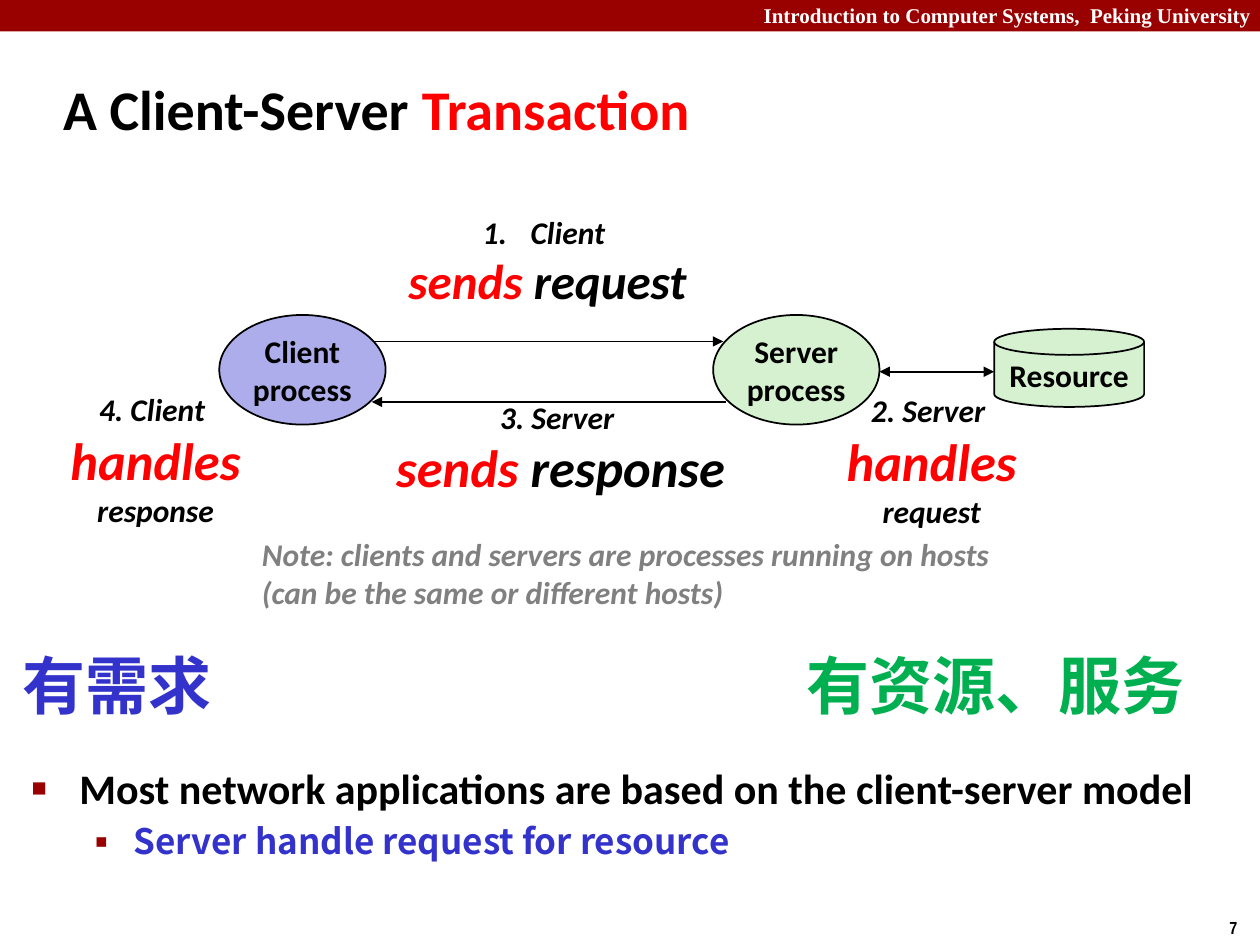
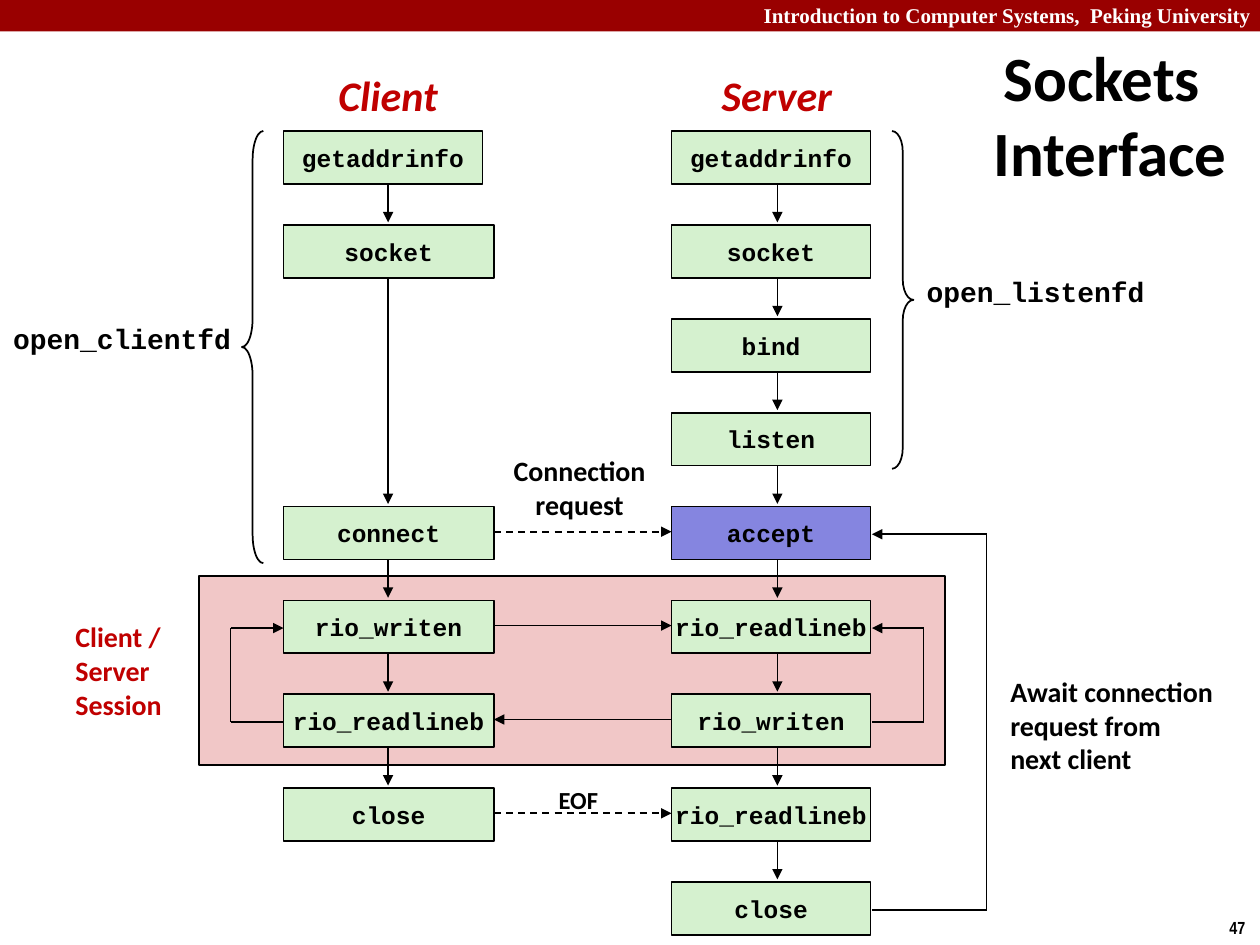
from lxml import etree
from pptx import Presentation
from pptx.dml.color import RGBColor
from pptx.enum import dml, shapes, text
from pptx.oxml import ns
from pptx.util import Inches, Pt

HUE = {
    "black": "000000", "white": "FFFFFF", "band": "990000", "red": "FF0000",
    "dark": "C00000", "gray": "808080", "blue": "3333CC", "green": "00B050",
    "mint": "D5F1CF", "lilac": "ADADEB", "violet": "8585E0", "pink": "F1C7C7",
}
SANS, CODE, HAN = "Calibri", "Courier New", "Noto Sans CJK SC"
LOOK = {
    "head": (12, "white", "Times New Roman", False),
    "page": (10, "black", "Arial Narrow", False),
    "title": (32, "black", SANS, False),
    "alert": (32, "red", SANS, False),
    "large": (36, "black", SANS, False),
    "node": (18, "black", SANS, False),
    "step": (18, "black", SANS, True),
    "ask": (28, "black", SANS, True),
    "ask_hot": (28, "red", SANS, True),
    "act": (30, "black", SANS, True),
    "act_hot": (30, "red", SANS, True),
    "note": (18, "gray", SANS, True),
    "need": (36, "blue", HAN, False),
    "offer": (36, "green", HAN, False),
    "point": (24, "black", SANS, False),
    "sub": (20, "blue", HAN, False),
    "role": (24, "dark", SANS, True),
    "phase": (16, "dark", SANS, False),
    "label": (16, "black", SANS, False),
    "small": (14, "black", SANS, False),
    "call": (14, "black", CODE, False),
    "open": (16, "black", CODE, False),
}
ALIGN = {"l": text.PP_ALIGN.LEFT, "c": text.PP_ALIGN.CENTER, "r": text.PP_ALIGN.RIGHT}
ANCHOR = {"t": text.MSO_ANCHOR.TOP, "m": text.MSO_ANCHOR.MIDDLE}
KIND = shapes.MSO_SHAPE


def lines(words, look):
    return [[(line, look)] for line in words.split("\n")]


HEAD = "Introduction to Computer Systems,  Peking University "

TITLE = [[("A Client-Server ", "title"), ("Transaction", "alert")]]
NODES = [
    (KIND.OVAL, (1.74, 2.5, 1.32, 0.87), "lilac", "Client\nprocess"),
    (KIND.OVAL, (5.66, 2.5, 1.32, 0.87), "mint", "Server\nprocess"),
    (KIND.FLOWCHART_MAGNETIC_DISK, (7.89, 2.61, 1.19, 0.62), "mint", "Resource"),
]
FLOWS = [
    ((2.94, 2.71), (5.74, 2.71), "tail"),
    ((5.76, 3.19), (2.95, 3.19), "tail"),
    ((6.98, 2.95), (7.89, 2.95), "both"),
]
ASK = [[("Client ", "step")], [("sends ", "ask_hot"), ("request", "ask")]]
STEPS = [
    ((6.61, 3.05, 1.57, 1.21),
     [[("2. Server ", "step")], [("handles", "act_hot")], [("request", "step")]]),
    ((3.03, 3.1, 2.84, 0.91),
     [[("3. Server ", "step")], [("sends ", "act_hot"), ("response", "act")]]),
    ((0.45, 3.04, 1.57, 1.21),
     [[("4. Client ", "step")], [("handles", "act_hot")], [("response", "step")]]),
]
NOTE = ("Note: clients and servers are processes running on hosts\n"
        "(can be the same or different hosts)")
SIDES = [
    ((0.08, 5.08, 1.98, 0.71), "有需求", "need"),
    ((6.3, 5.08, 3.37, 0.71), "有资源、服务", "offer"),
]
POINTS = [
    ("Most network applications are based on the client-server model",
     "point", 0.38, -0.38, "■", 60),
    ("Server handle request for resource", "sub", 0.81, -0.31, "▪", 110),
]

TOP, PITCH, TALL = 1.04, 0.745, 0.42
CLIENT = {0: "getaddrinfo", 1: "socket", 4: "connect", 5: "rio_writen",
          6: "rio_readlineb", 7: "close"}
SERVER = dict(enumerate(["getaddrinfo", "socket", "bind", "listen", "accept",
                         "rio_readlineb", "rio_writen", "rio_readlineb", "close"]))
LANES = [(2.25, 1.67, 3.08, CLIENT), (5.33, 1.58, 6.17, SERVER)]
LINKS = [(4, 3.92, 5.33, True), (5, 3.92, 5.33, False),
         (6, 5.33, 3.92, False), (7, 3.92, 5.33, True)]
LOOPS = [(6.92, 7.33, 6, 5), (2.25, 1.83, 6, 5), (6.92, 7.83, 8, 4)]
BRACES = [(KIND.LEFT_BRACE, (1.92, 1.04, 0.17, 3.43), 1.33),
          (KIND.RIGHT_BRACE, (7.08, 1.04, 0.17, 2.68), 0.96)]
LABELS = [
    ((2.58, 0.5, 1, 0.5), "Client", "role", {}),
    ((5.62, 0.5, 1.09, 0.5), "Server", "role", {}),
    ((3.97, 3.55, 1.26, 0.64), "Connection\nrequest", "label", {}),
    ((4.33, 6.18, 0.52, 0.34), "EOF", "small", {}),
    ((0, 2.5, 1.94, 0.37), "open_clientfd", "open", {}),
    ((7.25, 2.13, 1.94, 0.37), "open_listenfd", "open", {}),
    ((0.5, 4.87, 0.92, 0.9), "Client / Server\nSession", "phase",
     {"align": "l", "wrap": True}),
    ((7.92, 5.3, 1.83, 0.91), "Await connection\nrequest from\nnext client",
     "label", {"align": "l"}),
]


def color(name):
    return RGBColor.from_string(HUE[name])


def child(node, tag, **attrs):
    return etree.SubElement(node, ns.qn(tag), attrs)


def write(shape, paras, align="c", anchor="m", wrap=False):
    frame = shape.text_frame
    form = {"word_wrap": wrap, "vertical_anchor": ANCHOR[anchor],
            "auto_size": text.MSO_AUTO_SIZE.NONE}
    for key, value in form.items():
        setattr(frame, key, value)
    for i, runs in enumerate(paras):
        para = frame.add_paragraph() if i else frame.paragraphs[0]
        para.alignment = ALIGN[align]
        for words, look in runs:
            run = para.add_run()
            run.text = words
            size, hue, face, slant = LOOK[look]
            form = {"size": Pt(size), "bold": True, "italic": slant, "name": face}
            for key, value in form.items():
                setattr(run.font, key, value)
            run.font.color.rgb = color(hue)
            child(run.font._element, "a:ea", typeface=face)
    return frame


def label(slide, at, paras, **form):
    box = slide.shapes.add_textbox(*map(Inches, at))
    return write(box, paras, **form)


def place(shape, at):
    for key, value in zip(("left", "top", "width", "height"), at):
        setattr(shape, key, Inches(value))


def draw(slide, kind, at, fill=None, line="black"):
    shape = slide.shapes.add_shape(kind, *map(Inches, at))
    shape.shadow.inherit = False
    if fill:
        shape.fill.solid()
        shape.fill.fore_color.rgb = color(fill)
    else:
        shape.fill.background()
    if line:
        shape.line.color.rgb = color(line)
        shape.line.width = Pt(1)
    else:
        shape.line.fill.background()
    return shape


def join(slide, start, end, tip="tail", dash=False):
    link = slide.shapes.add_connector(shapes.MSO_CONNECTOR.STRAIGHT,
                                      *map(Inches, (*start, *end)))
    link.line.color.rgb = color("black")
    link.line.width = Pt(1)
    if dash:
        link.line.dash_style = dml.MSO_LINE.DASH
    edge = link.line._get_or_add_ln()
    if tip == "both":
        child(edge, "a:headEnd", type="triangle")
    if tip:
        child(edge, "a:tailEnd", type="triangle")
    child(link._element.spPr, "a:effectLst")


def indent(para, left, first):
    props = para._p.get_or_add_pPr()
    props.set("marL", str(Inches(left)))
    props.set("indent", str(Inches(first)))
    return props


def start(deck, layout, page, title, at, align):
    slide = deck.slides.add_slide(deck.slide_layouts[layout])
    draw(slide, KIND.RECTANGLE, (0, 0, 10, 0.25), "band", None)
    label(slide, (4.08, -0.03, 5.99, 0.3), lines(HEAD, "head"),
          align="r", anchor="t", wrap=True)
    label(slide, (9.66, 7.23, 0.34, 0.27), lines(page, "page"), align="l", anchor="t")
    place(slide.shapes.title, at)
    frame = write(slide.shapes.title, title, align=align, wrap=True)
    indent(frame.paragraphs[0], 0.13, -0.13)
    return slide


def deal(deck):
    slide = start(deck, 1, "7", TITLE, (0.4, 0.54, 9.6, 0.63), "l")
    for begin, end, tip in FLOWS:
        join(slide, begin, end, tip)
    for kind, at, fill, words in NODES:
        write(draw(slide, kind, at, fill), lines(words, "node"))
    frame = label(slide, (3.13, 1.63, 2.43, 0.88), ASK)
    first, second = frame.paragraphs
    child(indent(first, 0.38, -0.38), "a:buAutoNum", type="arabicPeriod")
    indent(second, 0.56, -0.56)
    for at, paras in STEPS:
        label(slide, at, paras)
    label(slide, (1.98, 4.2, 6.11, 0.71), lines(NOTE, "note"), align="l", anchor="t")
    for at, words, look in SIDES:
        label(slide, at, lines(words, look), align="l", anchor="t", wrap=True)
    body = slide.placeholders[1]
    place(body, (0.15, 6, 9.52, 0.96))
    frame = write(body, [[item[:2]] for item in POINTS], "l", "t", True)
    for level, (para, item) in enumerate(zip(frame.paragraphs, POINTS)):
        para.level = level
        left, hang, mark, size = item[2:]
        props = indent(para, left, hang)
        child(child(props, "a:buClr"), "a:srgbClr", val=HUE["band"])
        child(props, "a:buSzPct", val=str(size * 1000))
        child(props, "a:buChar", char=mark)


def row(index):
    return TOP + PITCH * index


def sockets(deck):
    slide = start(deck, 5, "47", lines("Sockets Interface", "large"),
                  (7.58, 0.25, 2.33, 1.31), "c")
    draw(slide, KIND.RECTANGLE, (1.58, 4.57, 5.92, 1.5), "pink")
    for near, far, low, high in LOOPS:
        y, end = row(low) + 0.22, row(high) + 0.22
        join(slide, (near, y), (far, y), None)
        join(slide, (far, y), (far, end), None)
        join(slide, (far, end), (near, end))
    for left, wide, mid, calls in LANES:
        rows = list(calls)
        for above, below in zip(rows, rows[1:]):
            join(slide, (mid, row(above) + TALL), (mid, row(below) - 0.02))
        for index, name in calls.items():
            width = wide if index else 1.58
            fill = "violet" if name == "accept" else "mint"
            box = draw(slide, KIND.RECTANGLE, (left, row(index), width, TALL), fill)
            write(box, lines(name, "call"))
    for index, begin, end, dash in LINKS:
        y = row(index) + 0.2
        join(slide, (begin, y), (end, y), dash=dash)
    for kind, at, bend in BRACES:
        draw(slide, kind, at).adjustments[0] = bend
    for at, words, look, form in LABELS:
        label(slide, at, lines(words, look), **form)


def main():
    deck = Presentation()
    deck.slide_width, deck.slide_height = Inches(10), Inches(7.5)
    deal(deck)
    sockets(deck)
    deck.save("out.pptx")


if __name__ == "__main__":
    main()
